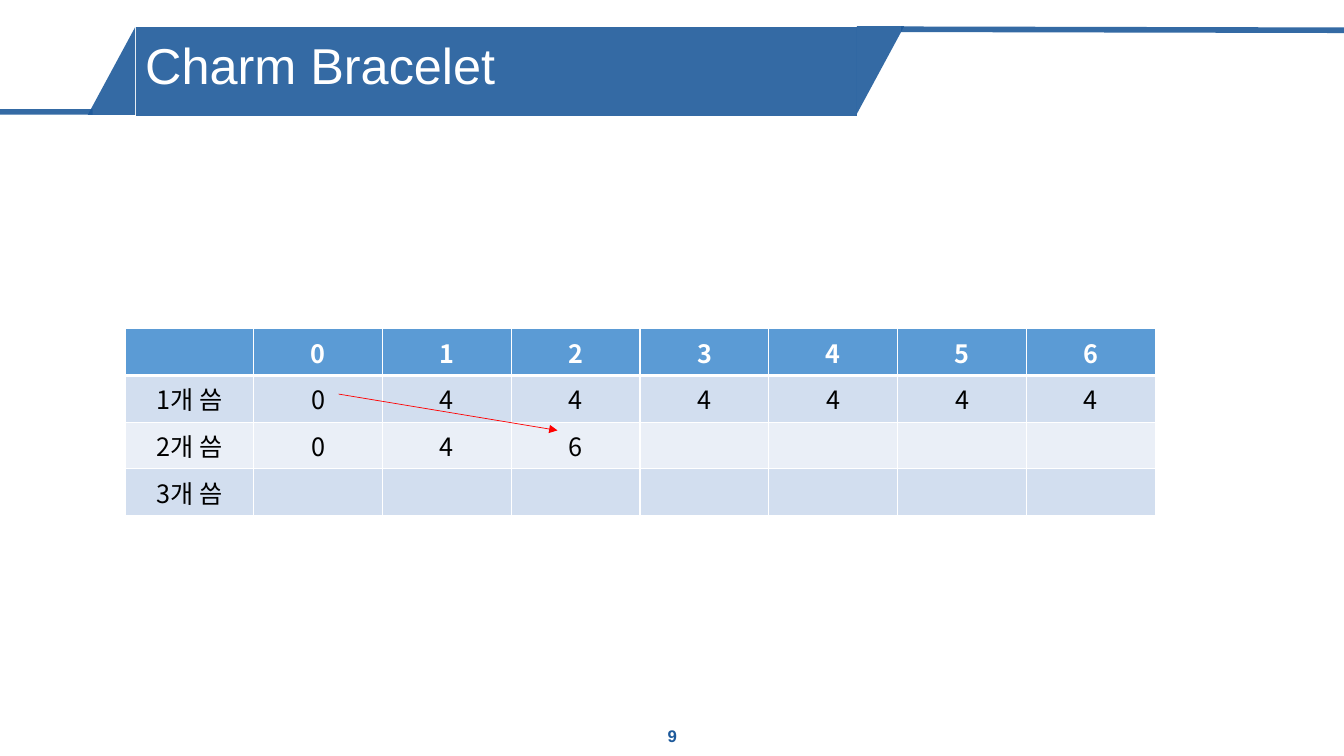
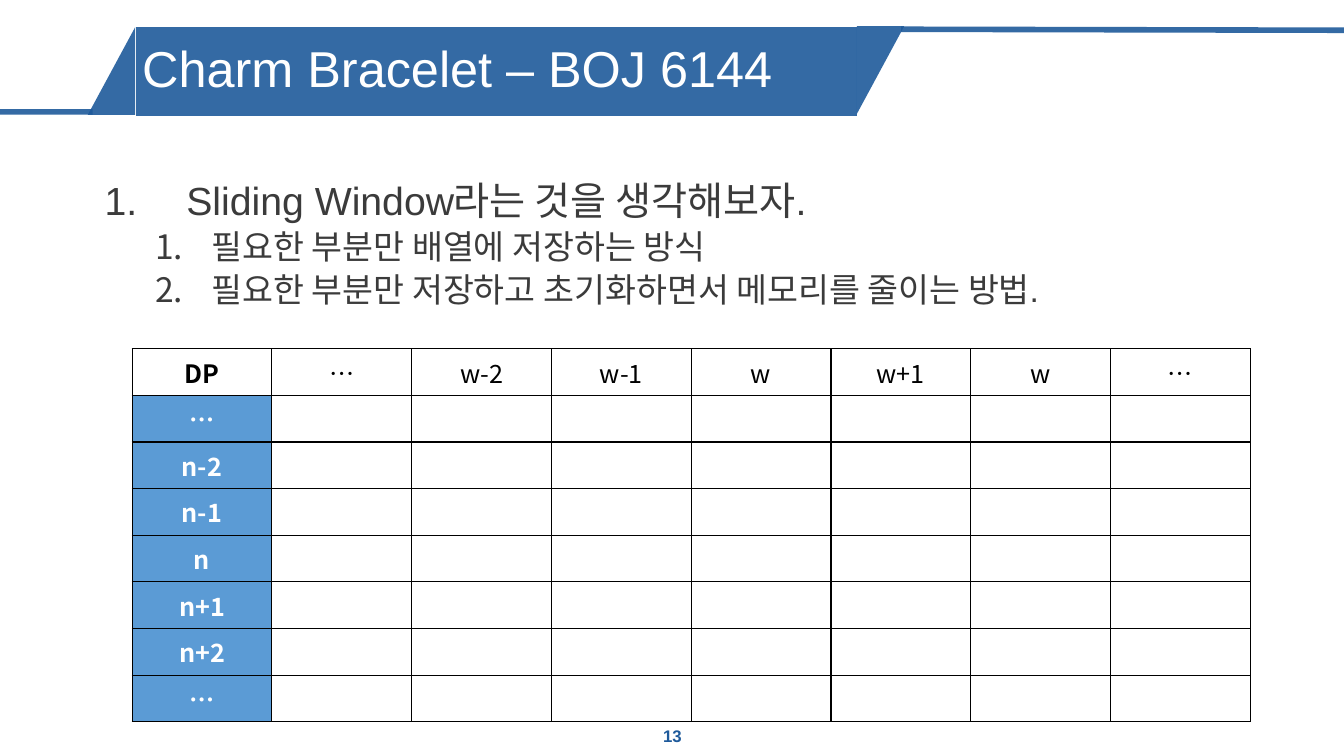
"""Build two slides on the Charm Bracelet knapsack problem."""
from lxml.etree import SubElement
from pptx import Presentation
from pptx.dml.color import RGBColor
from pptx.enum.shapes import MSO_CONNECTOR, MSO_SHAPE
from pptx.enum.text import MSO_ANCHOR, MSO_AUTO_SIZE, PP_ALIGN
from pptx.oxml.ns import qn
from pptx.util import Inches, Pt

NAVY = RGBColor(0x1E, 0x5A, 0x9B)
SKY = RGBColor(0x5B, 0x9B, 0xD5)
PALE = RGBColor(0xD2, 0xDE, 0xEF)
PALER = RGBColor(0xEA, 0xEF, 0xF7)
WHITE = RGBColor(0xFF, 0xFF, 0xFF)
BLACK = RGBColor(0x00, 0x00, 0x00)
CHARCOAL = RGBColor(0x3B, 0x3B, 0x3B)
RED = RGBColor(0xFF, 0x00, 0x00)
KOREAN = "Noto Sans CJK KR"
ROW = 6.17

deck = Presentation()
deck.slide_width, deck.slide_height = Inches(13.33), Inches(7.5)
title_only = deck.slide_layouts[5]


def area(*percents):
    """Turn alternating percentages of slide width and height into lengths."""
    sides = (deck.slide_width, deck.slide_height) * 2
    return [round(side * percent / 100) for side, percent in zip(sides, percents)]


def write(paragraph, text, color, align=PP_ALIGN.CENTER, **look):
    """Add one formatted run to a paragraph."""
    paragraph.alignment = align
    run = paragraph.add_run()
    run.text = text
    run.font.color.rgb = color
    for attribute, value in look.items():
        setattr(run.font, attribute, value)
    SubElement(run.font._element, qn("a:ea"), typeface=KOREAN)


pages = []
for heading, number, left, top in [
    ("Charm Bracelet", "9", 10.05, 3.6),
    ("Charm Bracelet – BOJ 6144", "13", 9.83, 4),
]:
    page = deck.slides.add_slide(title_only)
    pages.append(page)
    title = page.shapes.title
    title.left, title.top, title.width, title.height = area(left, top, 53.63, 10.8)
    footer = page.shapes.add_textbox(*area(38.78, 94.67, 22.5, 5.33))
    for box in (title, footer):
        for attribute, value in {
            "word_wrap": True,
            "auto_size": MSO_AUTO_SIZE.NONE,
            "vertical_anchor": MSO_ANCHOR.MIDDLE,
        }.items():
            setattr(box.text_frame, attribute, value)
    headline = title.text_frame.paragraphs[0]
    headline.line_spacing = 0.9
    write(headline, heading, WHITE, PP_ALIGN.LEFT, size=Pt(36), name="Arial")
    write(footer.text_frame.paragraphs[0], number, NAVY,
          size=Pt(12), name="Arial", bold=True)

window_page = pages[1]
points = window_page.shapes.add_textbox(*area(7.05, 23.33, 85.95, 66.27)).text_frame
points.word_wrap = True
for position, (text, level, size, indent, hanging) in enumerate([
    ("Sliding Window라는 것을 생각해보자.", 0, 28, 0.81, 0.81),
    ("필요한 부분만 배열에 저장하는 방식", 1, 24, 1.06, 0.56),
    ("필요한 부분만 저장하고 초기화하면서 메모리를 줄이는 방법.", 1, 24, 1.06, 0.56),
]):
    point = points.add_paragraph() if position else points.paragraphs[0]
    point.level = level
    point.line_spacing = 0.9
    point.space_before = Pt(5 if position else 0)
    numbering = point._element.get_or_add_pPr()
    numbering.set("marL", str(Inches(indent)))
    numbering.set("indent", str(-Inches(hanging)))
    bullet_color = SubElement(numbering, qn("a:buClr"))
    SubElement(bullet_color, qn("a:srgbClr"), val=str(CHARCOAL))
    SubElement(numbering, qn("a:buAutoNum"), type="arabicPeriod")
    write(point, text, CHARCOAL, PP_ALIGN.LEFT, size=Pt(size), name="Arial")

charm_rows = [
    ["", *"0123456"],
    ["1개 씀", *"0444444"],
    ["2개 씀", *"046"],
    ["3개 씀"],
]
window_rows = [["DP", "…", "w-2", "w-1", "w", "w+1", "w", "…"]]
window_rows += [[label] for label in ("…", "n-2", "n-1", "n", "n+1", "n+2", "…")]

for page, rows, left, top, width, rule in [
    (pages[0], charm_rows, 9.3, 43.5, 76.65, WHITE),
    (window_page, window_rows, 9.83, 46.13, 83.2, BLACK),
]:
    grid = page.shapes.add_table(
        len(rows), 8, *area(left, top, width, ROW * len(rows))).table
    for r, row in enumerate(rows):
        for c in range(8):
            cell = grid.cell(r, c)
            if rows is charm_rows:
                shade = (SKY, PALE, PALER, PALE)[r]
                bold = r == 0
            else:
                shade = SKY if r and c == 0 else None
                bold = c == 0
            if c < len(row) and row[c]:
                write(cell.text_frame.paragraphs[0], row[c],
                      WHITE if shade == SKY else BLACK,
                      size=Pt(18), name=KOREAN, bold=bold)
            borders = cell._tc.get_or_add_tcPr()
            for side in ("lnL", "lnR", "lnT", "lnB"):
                heavy = rows is charm_rows and (r, side) in ((0, "lnB"), (1, "lnT"))
                edge = SubElement(borders, qn(f"a:{side}"), w=str(Pt(3 if heavy else 1)))
                ink = SubElement(edge, qn("a:solidFill"))
                SubElement(ink, qn("a:srgbClr"), val=str(rule))
            if shade:
                cell.fill.solid()
                cell.fill.fore_color.rgb = shade
            else:
                cell.fill.background()

band = []
for outline, place, turn in [
    (MSO_SHAPE.RIGHT_TRIANGLE, (62.25, 6.13, 6.53, 6.27), 90),
    (MSO_SHAPE.RIGHT_TRIANGLE, (5.03, 6.27, 6.53, 6.27), 270),
    (MSO_SHAPE.RECTANGLE, (10.13, 3.6, 53.63, 11.73), 0),
]:
    piece = pages[0].shapes.add_shape(outline, *area(*place))
    piece.rotation = turn
    piece.shadow.inherit = False
    piece.fill.solid()
    piece.fill.fore_color.rgb = NAVY
    piece.line.fill.background()
    band.append(piece)

for ends, color, weight in [
    ((6.9, 14.8, -0.23, 14.8), NAVY, 4),
    ((100, 4, 67.05, 3.87), NAVY, 4),
    ((25.2, 52.13, 41.48, 56.93), RED, 0.5),
]:
    stroke = pages[0].shapes.add_connector(MSO_CONNECTOR.STRAIGHT, *area(*ends))
    stroke.line.color.rgb = color
    stroke.line.width = Pt(weight)
    properties = stroke.element.spPr
    if color == RED:
        SubElement(properties.find(qn("a:ln")), qn("a:tailEnd"), type="triangle")
    else:
        band.append(stroke)
    SubElement(properties, qn("a:effectLst"))

for number, piece in enumerate(band, start=20):
    for tint in piece.element.spPr.iter(qn("a:srgbClr")):
        SubElement(tint, qn("a:alpha"), val="90000")
    piece.element.xpath("./*/p:cNvPr")[0].set("id", str(number))
    title_only.shapes.element.append(piece.element)

deck.save("out.pptx")
